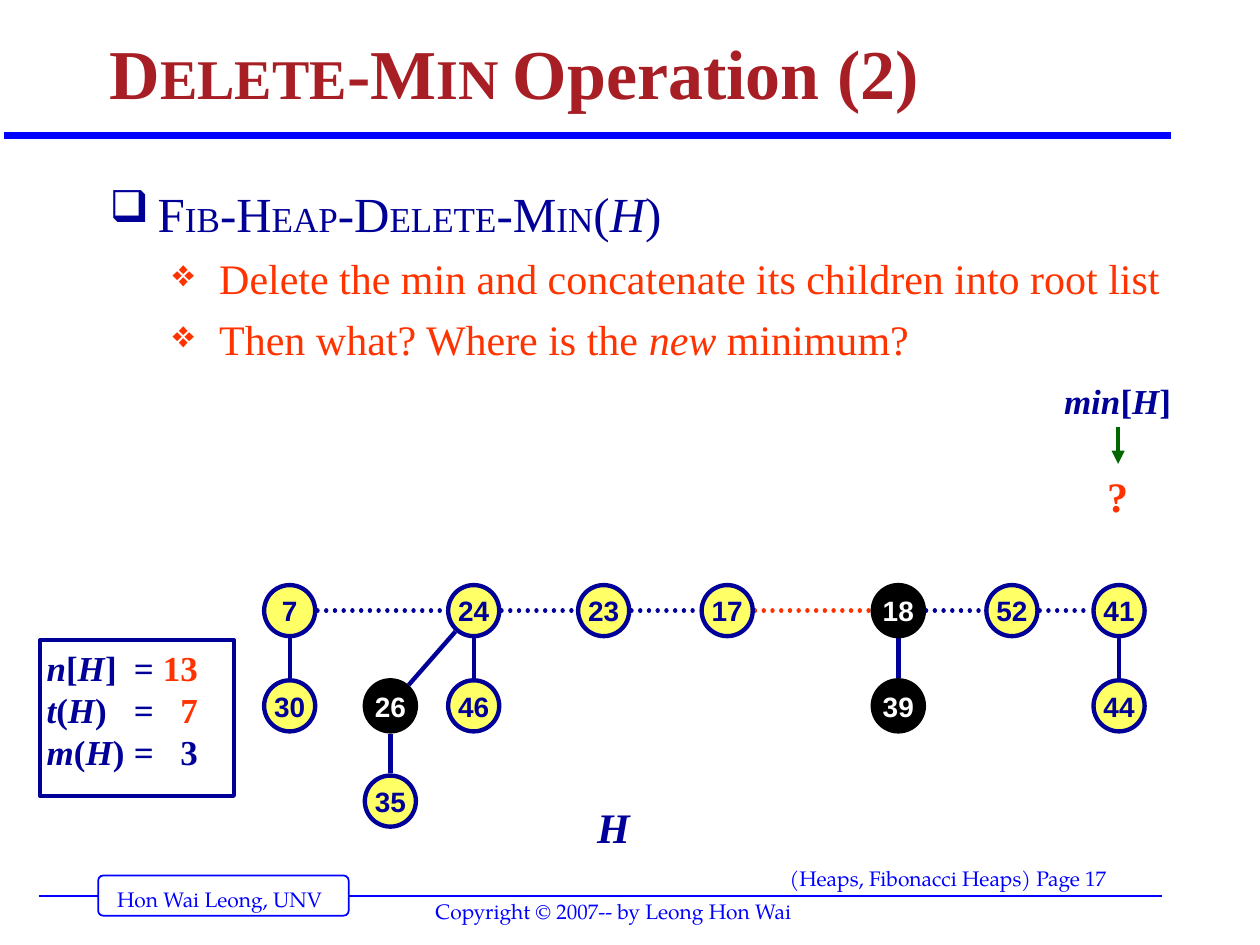
from dataclasses import dataclass, replace
from math import hypot
from typing import NamedTuple

from lxml.etree import SubElement
from pptx import Presentation
from pptx.dml.color import RGBColor
from pptx.enum.dml import MSO_LINE
from pptx.enum.shapes import MSO_CONNECTOR, MSO_SHAPE
from pptx.enum.text import MSO_ANCHOR, PP_ALIGN
from pptx.oxml.ns import qn
from pptx.util import Cm, Pt

NAVY = RGBColor(0x00, 0x00, 0x99)
BLUE = RGBColor(0x00, 0x00, 0xFF)
ORANGE = RGBColor(0xFF, 0x33, 0x00)
MAROON = RGBColor(0xA8, 0x1E, 0x25)
YELLOW = RGBColor(0xFF, 0xFF, 0x66)
GREEN = RGBColor(0x00, 0x66, 0x00)
BLACK = RGBColor(0x00, 0x00, 0x00)
WHITE = RGBColor(0xFF, 0xFF, 0xFF)

NODE_SIZE = 1.03
LINK_TRIM = 0.56
ROOT_Y = 12.31
LEVEL_STEP = 1.92


class Box(NamedTuple):
    left: float
    top: float
    width: float
    height: float


class Point(NamedTuple):
    x: float
    y: float


@dataclass(frozen=True)
class Style:
    size: float
    color: RGBColor
    font: str = "Times New Roman"
    bold: bool = False
    italic: bool = False


class Piece(NamedTuple):
    text: str
    style: Style


class Bullet(NamedTuple):
    char: str
    color: RGBColor
    indent: float
    hanging: float
    level: int


class Tab(NamedTuple):
    position: float
    align: str


@dataclass(frozen=True)
class Line:
    pieces: list[Piece]
    before: float = 0
    align: PP_ALIGN = PP_ALIGN.LEFT
    spacing: float = 1.0
    bullet: Bullet | None = None
    tabs: tuple[Tab, ...] = ()


class Node(NamedTuple):
    x: float
    level: int
    marked: bool = False

    @property
    def center(self) -> Point:
        return Point(self.x, ROOT_Y + self.level * LEVEL_STEP)


class Link(NamedTuple):
    start: str
    end: str
    color: RGBColor = NAVY
    dotted: bool = False


def write(frame, lines: list[Line], inset: float = 0.25, wrap: bool = True) -> None:
    frame.word_wrap = wrap
    frame.margin_left = frame.margin_right = Cm(inset)
    frame.margin_top = frame.margin_bottom = Cm(0.13)
    for index, line in enumerate(lines):
        paragraph = frame.add_paragraph() if index else frame.paragraphs[0]
        paragraph.alignment = line.align
        paragraph.line_spacing = line.spacing
        paragraph.space_before = Pt(line.before)
        properties = paragraph._p.get_or_add_pPr()
        if line.bullet:
            paragraph.level = line.bullet.level
            properties.set("marL", str(Cm(line.bullet.indent)))
            properties.set("indent", str(Cm(-line.bullet.hanging)))
            tint = SubElement(properties, qn("a:buClr"))
            SubElement(tint, qn("a:srgbClr"), val=str(line.bullet.color))
            SubElement(properties, qn("a:buSzPct"), val="90000")
            SubElement(properties, qn("a:buChar"), char=line.bullet.char)
        if line.tabs:
            stops = SubElement(properties, qn("a:tabLst"))
            for tab in line.tabs:
                SubElement(stops, qn("a:tab"), pos=str(Cm(tab.position)), algn=tab.align)
        for text, style in line.pieces:
            run = paragraph.add_run()
            run.text = text
            run.font.name = style.font
            run.font.size = Pt(style.size)
            run.font.bold = style.bold
            run.font.italic = style.italic
            run.font.color.rgb = style.color


def add_text(slide, box: Box, lines: list[Line], inset: float = 0.25):
    frame = slide.shapes.add_textbox(*map(Cm, box)).text_frame
    write(frame, lines, inset)
    return frame


def add_outlined(slide, kind: MSO_SHAPE, box: Box, fill: RGBColor | None, outline: RGBColor, weight: float):
    shape = slide.shapes.add_shape(kind, *map(Cm, box))
    shape.shadow.inherit = False
    if fill is None:
        shape.fill.background()
    else:
        shape.fill.solid()
        shape.fill.fore_color.rgb = fill
    shape.line.color.rgb = outline
    shape.line.width = Pt(weight)
    return shape


def add_line(slide, start: Point, end: Point, color: RGBColor, weight: float):
    line = slide.shapes.add_connector(MSO_CONNECTOR.STRAIGHT, *map(Cm, (*start, *end)))
    line.line.color.rgb = color
    line.line.width = Pt(weight)
    SubElement(line._element.spPr, qn("a:effectLst"))
    return line


def add_link(slide, link: Link, nodes: dict[str, Node]) -> None:
    start, end = nodes[link.start].center, nodes[link.end].center
    ratio = LINK_TRIM / hypot(end.x - start.x, end.y - start.y)
    dx, dy = (end.x - start.x) * ratio, (end.y - start.y) * ratio
    edge = add_line(slide, Point(start.x + dx, start.y + dy), Point(end.x - dx, end.y - dy), link.color, 2.5)
    if link.dotted:
        edge.line.dash_style = MSO_LINE.ROUND_DOT
        edge._element.spPr.get_or_add_ln().set("cap", "rnd")


def add_node(slide, key: str, node: Node) -> None:
    x, y = node.center
    box = Box(x - NODE_SIZE / 2, y - NODE_SIZE / 2, NODE_SIZE, NODE_SIZE)
    fill, outline, ink = (BLACK, BLACK, WHITE) if node.marked else (YELLOW, NAVY, NAVY)
    circle = add_outlined(slide, MSO_SHAPE.OVAL, box, fill, outline, 2.5)
    circle.text_frame.vertical_anchor = MSO_ANCHOR.MIDDLE
    label = Piece(key, Style(16, ink, "Arial", bold=True))
    write(circle.text_frame, [Line([label], align=PP_ALIGN.CENTER)], wrap=False)


def alternate(texts: list[str], first: Style, second: Style) -> list[Piece]:
    return [Piece(text, second if index % 2 else first) for index, text in enumerate(texts)]


def main() -> None:
    deck = Presentation()
    deck.slide_width, deck.slide_height = Cm(25.4), Cm(19.05)
    slide = deck.slides.add_slide(deck.slide_layouts[6])

    add_line(slide, Point(0.79, 18.06), Point(23.42, 18.06), BLUE, 1)
    badge = add_outlined(slide, MSO_SHAPE.ROUNDED_RECTANGLE, Box(1.98, 17.65, 5.05, 0.81), WHITE, BLUE, 1)
    badge.adjustments[0] = 0.125
    add_line(slide, Point(0.08, 2.74), Point(23.6, 2.74), BLUE, 4)
    footer = Style(12, BLUE, "TeX Gyre Pagella")
    for text, box in (
        ("Hon Wai Leong, UNV", Box(2.11, 17.75, 4.92, 0.76)),
        ("(Heaps, Fibonacci Heaps) Page 17", Box(15.67, 17.32, 8.74, 0.81)),
        ("Copyright © 2007-- by Leong Hon Wai", Box(8.53, 17.98, 8.3, 0.76)),
    ):
        add_text(slide, box, [Line([Piece(text, footer)])])

    heading = Style(40, MAROON, bold=True)
    title = alternate(["D", "ELETE", "-M", "IN ", "Operation (2)"], heading, replace(heading, size=32))
    add_text(slide, Box(1.96, 0.24, 21.59, 2.21), [Line(title, spacing=0.9)]).vertical_anchor = MSO_ANCHOR.BOTTOM

    topic, step = Style(28, NAVY), Style(24, ORANGE)
    procedure = alternate(["F", "IB", "-H", "EAP", "-D", "ELETE", "-M", "IN"], topic, replace(topic, size=20))
    procedure += alternate(["(", "H", ")"], topic, replace(topic, italic=True))
    square, diamond = Bullet("❑", NAVY, 0.97, 0.97, 0), Bullet("❖", ORANGE, 2.21, 0.94, 1)
    question = alternate(["Then what? Where is the ", "new", " minimum?"], step, replace(step, italic=True))
    add_text(slide, Box(1.96, 3.56, 22.23, 4.14), [
        Line(procedure, 17.5, bullet=square),
        Line([Piece("Delete the min and concatenate its children into root list", step)], 6, bullet=diamond),
        Line(question, 6, bullet=diamond),
    ])

    nodes = {
        "7": Node(5.84, 0), "24": Node(9.55, 0), "23": Node(12.17, 0), "17": Node(14.66, 0),
        "18": Node(18.11, 0, True), "52": Node(20.4, 0), "41": Node(22.56, 0),
        "30": Node(5.84, 1), "26": Node(7.87, 1, True), "46": Node(9.55, 1),
        "39": Node(18.11, 1, True), "44": Node(22.56, 1), "35": Node(7.87, 2),
    }
    roots = [key for key, node in nodes.items() if node.level == 0]
    links = [Link(a, b, ORANGE if a == "17" else NAVY, True) for a, b in zip(roots, roots[1:])]
    children = (("30", "7"), ("26", "24"), ("46", "24"), ("35", "26"), ("39", "18"), ("44", "41"))
    links += [Link(child, parent) for child, parent in children]
    for link in links:
        add_link(slide, link, nodes)
    for key, node in nodes.items():
        add_node(slide, key, node)

    upright = Style(20, NAVY, bold=True)
    slanted = replace(upright, italic=True)
    add_text(slide, Box(11.79, 16.03, 1.42, 1.27), [Line([Piece("H", replace(slanted, size=24))], 15)])
    pointer = alternate(["min", "[", "H", "]"], slanted, upright)
    add_text(slide, Box(21.21, 7.52, 2.64, 1.12), [Line(pointer, 12.5, PP_ALIGN.CENTER)], 0.13)
    arrow = add_line(slide, Point(22.54, 8.61), Point(22.54, 9.35), GREEN, 2.5)
    SubElement(arrow._element.spPr.get_or_add_ln(), qn("a:tailEnd"), type="triangle")
    unknown = Piece("?", replace(upright, size=24, color=ORANGE))
    add_text(slide, Box(21.87, 9.35, 1.32, 1.27), [Line([unknown], 15, PP_ALIGN.CENTER)], 0.13)

    counters = add_outlined(slide, MSO_SHAPE.RECTANGLE, Box(0.81, 12.9, 3.91, 3.15), None, NAVY, 2)
    counters.text_frame.vertical_anchor = MSO_ANCHOR.TOP
    columns = (Tab(1.76, "l"), Tab(3.05, "r"))
    write(counters.text_frame, [
        Line(alternate([name, opening, "H", f"{closing}\t=\t"], slanted, upright)
             + [Piece(value, replace(upright, color=color))], tabs=columns)
        for name, opening, closing, value, color in (
            ("n", "[", "]", "13", ORANGE), ("t", "(", ")", "7", ORANGE), ("m", "(", ")", "3", NAVY))
    ], 0.13)

    deck.save("out.pptx")


if __name__ == "__main__":
    main()
